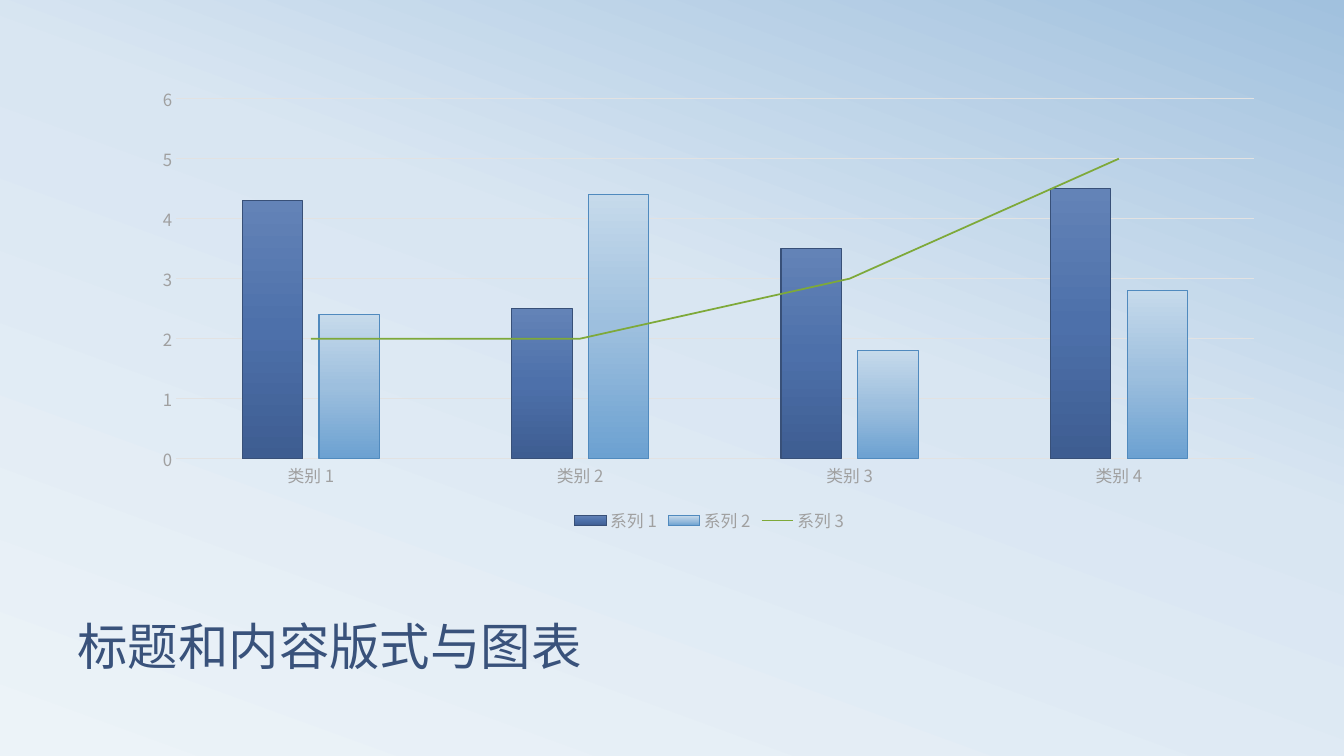
from lxml.etree import SubElement
from pptx import Presentation
from pptx.chart.data import CategoryChartData
from pptx.dml.color import RGBColor
from pptx.enum.chart import XL_CHART_TYPE as ChartType, XL_LEGEND_POSITION as LegendSpot
from pptx.enum.chart import XL_MARKER_STYLE as Marker, XL_TICK_MARK as Tick
from pptx.enum.text import MSO_ANCHOR as Anchor
from pptx.oxml import parse_xml
from pptx.oxml.ns import nsdecls, qn
from pptx.util import Inches, Pt

FONT = "Noto Sans CJK SC"
COLORS = {"title": "39527B", "body": "404040", "label": "A0A0A0", "grid": "E2E2E2",
          "trend": "7EA939"}
SKY = {0: "ECF3F8", 58: "D9E6F2", 100: "A1C1DE"}
BARS = [({0: "6383B7", 50: "4D70AA", 100: "3E5D91"}, "385078"),
        ({0: "C6DAEB", 50: "9DBFDE", 100: "6CA1D1"}, "508ABE")]


def paint_gradient(fill, owner, stops, angle):
    fill.gradient()
    fill.gradient_angle = angle
    stop_list = next(owner.iter(qn("a:gsLst")))
    for stop in list(stop_list):
        stop_list.remove(stop)
    for percent, color in stops.items():
        stop = SubElement(stop_list, qn("a:gs"), pos=str(percent * 1000))
        SubElement(stop, qn("a:srgbClr"), val=color)


def style_font(font, size, color):
    font.name, font.size = FONT, Pt(size)
    font.color.rgb = RGBColor.from_string(COLORS[color])


prs = Presentation()
prs.slide_width, prs.slide_height = Inches(13.33), Inches(7.5)
slide = prs.slides.add_slide(prs.slide_layouts[6])
paint_gradient(slide.background.fill, slide._element, SKY, 70)

data = CategoryChartData()
data.categories = [f"类别 {n}" for n in range(1, 5)]
data.add_series("系列 1", (4.3, 2.5, 3.5, 4.5))
data.add_series("系列 2", (2.4, 4.4, 1.8, 2.8))
data.add_series("系列 3", (2, 2, 3, 5))
chart = slide.shapes.add_chart(ChartType.COLUMN_CLUSTERED, Inches(1.41), Inches(0.75),
                               Inches(11.25), Inches(4.58), data).chart
chart.has_title = False
style_font(chart.font, 10, "body")
chart.has_legend = True
chart.legend.position = LegendSpot.BOTTOM
chart.legend.include_in_layout = False
style_font(chart.legend.font, 12, "label")

categories, values = chart.category_axis, chart.value_axis
values.minimum_scale, values.maximum_scale, values.major_unit = 0, 6, 1
for axis in (categories, values):
    axis.major_tick_mark = axis.minor_tick_mark = Tick.NONE
    style_font(axis.tick_labels.font, 12, "label")
for line in (categories.format.line, values.major_gridlines.format.line):
    line.color.rgb = RGBColor.from_string(COLORS["grid"])
    line.width = Pt(0.75)
values.format.line.fill.background()

columns = chart.plots[0]
columns.gap_width, columns.overlap, columns.vary_by_categories = 219, -27, False
for series, (stops, outline) in zip(columns.series, BARS):
    paint_gradient(series.format.fill, series._element, stops, 270)
    series.format.line.color.rgb = RGBColor.from_string(outline)
    series.format.line.width = Pt(0.75)

trend_data = columns.series[2]._element
for flag in trend_data.findall(qn("c:invertIfNegative")):
    trend_data.remove(flag)
bar_group = columns._element
line_group = parse_xml(f'<c:lineChart {nsdecls("c")}><c:grouping val="standard"/>'
                       '<c:varyColors val="0"/><c:marker val="1"/></c:lineChart>')
line_group.insert(2, trend_data)
for axis_id in bar_group.findall(qn("c:axId")):
    SubElement(line_group, qn("c:axId"), val=axis_id.get("val"))
bar_group.addnext(line_group)
trend = chart.plots[1].series[0]
trend.smooth = False
trend.marker.style = Marker.NONE
trend.format.line.color.rgb = RGBColor.from_string(COLORS["trend"])
trend.format.line.width = Pt(1.25)

plot_area = bar_group.getparent()
for layout in plot_area.findall(qn("c:layout")):
    plot_area.remove(layout)
layout = parse_xml(f'<c:layout {nsdecls("c")}><c:manualLayout/></c:layout>')
for tag, setting in (("layoutTarget", "inner"), ("xMode", "edge"), ("yMode", "edge"),
                     ("x", "0.03"), ("y", "0.05"), ("w", "0.95"), ("h", "0.78")):
    SubElement(layout[0], qn(f"c:{tag}"), val=setting)
plot_area.insert(0, layout)

title = slide.shapes.add_textbox(Inches(0.67), Inches(5.58), Inches(12), Inches(1.17)).text_frame
title.word_wrap = True
title.vertical_anchor = Anchor.BOTTOM
title.text = "标题和内容版式与图表"
heading = title.paragraphs[0]
heading.line_spacing = 0.8
style_font(heading.runs[0].font, 36, "title")

for root in (chart._chartSpace, slide._element):
    for latin in list(root.iter(qn("a:latin"))):
        latin.addnext(parse_xml(f'<a:ea {nsdecls("a")} typeface="{FONT}"/>'))

prs.save("out.pptx")
